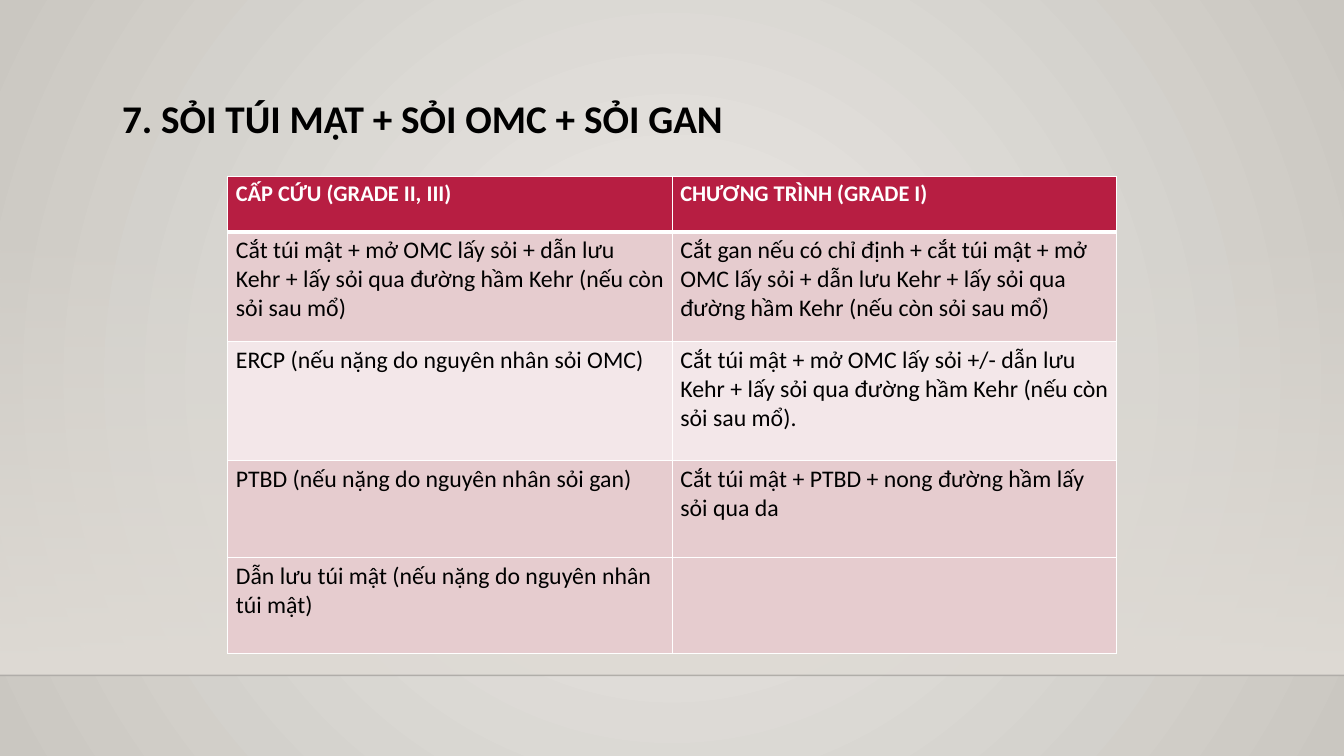
from lxml.etree import SubElement
from pptx import Presentation
from pptx.dml.color import RGBColor
from pptx.enum.shapes import MSO_CONNECTOR, MSO_SHAPE
from pptx.enum.text import MSO_ANCHOR, MSO_AUTO_SIZE, PP_ALIGN
from pptx.oxml import parse_xml
from pptx.oxml.ns import nsdecls, qn
from pptx.util import Pt

WIDTH, HEIGHT = 960, 540
FLOOR = 482.4
FONT = "Calibri"
COLORS = {
    "bg_center": "ECEAE7", "bg_edge": "CAC7C1", "wall": "DFDBD5",
    "floor_line": "000001", "text": "000000", "white": "FFFFFF",
    "header": "B71E42", "dark_row": "E6CCCF", "light_row": "F3E7E9",
}
TITLE = "7. SỎI TÚI MẬT + SỎI OMC + SỎI GAN"
ROWS = [
    ("CẤP CỨU (GRADE II, III)", "CHƯƠNG TRÌNH (GRADE I)"),
    ("Cắt túi mật + mở OMC lấy sỏi + dẫn lưu Kehr + lấy sỏi qua đường hầm "
     "Kehr (nếu còn sỏi sau mổ)",
     "Cắt gan nếu có chỉ định + cắt túi mật + mở OMC lấy sỏi + dẫn lưu Kehr "
     "+ lấy sỏi qua đường hầm Kehr (nếu còn sỏi sau mổ)"),
    ("ERCP (nếu nặng do nguyên nhân sỏi OMC)",
     "Cắt túi mật + mở OMC lấy sỏi +/- dẫn lưu Kehr + lấy sỏi qua đường hầm "
     "Kehr (nếu còn sỏi sau mổ)."),
    ("PTBD (nếu nặng do nguyên nhân sỏi gan)",
     "Cắt túi mật + PTBD + nong đường hầm lấy sỏi qua da"),
    ("Dẫn lưu túi mật (nếu nặng do nguyên nhân túi mật)", ""),
]
ROW_HEIGHTS = [39.6, 78.5, 85, 69, 69]
ROW_FILLS = ["header", "dark_row", "light_row", "dark_row", "dark_row"]


def rgb(name):
    return RGBColor.from_string(COLORS[name])


def set_gradient(fill, start, end):
    fill.gradient()
    for stop, name, position in zip(fill.gradient_stops, (start, end), (0, 1)):
        stop.color.rgb = rgb(name)
        stop.position = position


def set_alpha(element, percent):
    """Make the first colour inside the element see-through."""
    color = next(element.iter(qn("a:srgbClr")))
    SubElement(color, qn("a:alpha"), val=str(percent * 1000))


def add_background(s):
    set_gradient(s.background.fill, "bg_center", "bg_edge")
    lin = next(s.element.iter(qn("a:lin")))
    lin.getparent().replace(lin, parse_xml(
        f'<a:path {nsdecls("a")} path="circle">'
        '<a:fillToRect l="50000" t="50000" r="50000" b="50000"/></a:path>'))


def add_wall(s, top):
    sp = s.shapes.add_shape(MSO_SHAPE.RECTANGLE, 0, Pt(top), Pt(WIDTH), Pt(FLOOR - top))
    sp.shadow.inherit = False
    sp.line.fill.background()
    set_gradient(sp.fill, "wall", "wall")
    sp.fill.gradient_angle = 270
    set_alpha(sp.element.spPr, 0)


def add_floor_line(s):
    line = s.shapes.add_connector(MSO_CONNECTOR.STRAIGHT, 0, Pt(FLOOR), Pt(WIDTH), Pt(FLOOR))
    line.line.color.rgb = rgb("floor_line")
    line.line.width = Pt(1)
    spPr = line.element.spPr
    set_alpha(spPr, 20)
    SubElement(spPr, qn("a:effectLst"))


def set_title(s, text):
    sp = s.shapes.title
    sp.left, sp.top, sp.width, sp.height = Pt(80), Pt(46.8), Pt(682), Pt(52.6)
    tf = sp.text_frame
    tf.text = text
    tf.word_wrap = True
    tf.auto_size = MSO_AUTO_SIZE.NONE
    tf.vertical_anchor = MSO_ANCHOR.TOP
    p = tf.paragraphs[0]
    p.alignment = PP_ALIGN.LEFT
    p.line_spacing = 1.5
    set_font(p, 28, "text", True)


def set_font(p, size, color, bold):
    p.font.name = FONT
    p.font.size = Pt(size)
    p.font.bold = bold
    p.font.color.rgb = rgb(color)


def set_borders(cell, widths):
    tcPr = cell._tc.get_or_add_tcPr()
    for i, (side, width) in enumerate(widths.items()):
        tcPr.insert(i, parse_xml(
            f'<a:ln{side} {nsdecls("a")} w="{Pt(width)}"><a:solidFill>'
            f'<a:srgbClr val="{COLORS["white"]}"/></a:solidFill></a:ln{side}>'))


def format_cell(cell, text, row):
    header = row == 0
    cell.text = text
    cell.margin_left = cell.margin_right = Pt(5.8)
    cell.margin_top = cell.margin_bottom = Pt(2.9)
    cell.fill.solid()
    cell.fill.fore_color.rgb = rgb(ROW_FILLS[row])
    set_font(cell.text_frame.paragraphs[0], 16 if header else 17,
             "white" if header else "text", header)
    set_borders(cell, {"L": 1, "R": 1, "T": 3 if row == 1 else 1, "B": 3 if header else 1})


def add_treatment_table(s):
    table = s.shapes.add_table(len(ROWS), 2, Pt(162.7), Pt(126), Pt(635),
                               Pt(sum(ROW_HEIGHTS))).table
    for r, texts in enumerate(ROWS):
        table.rows[r].height = Pt(ROW_HEIGHTS[r])
        for c, text in enumerate(texts):
            format_cell(table.cell(r, c), text, r)


def main():
    prs = Presentation()
    prs.slide_width, prs.slide_height = Pt(WIDTH), Pt(HEIGHT)
    s = prs.slides.add_slide(prs.slide_layouts[5])

    # Backdrop
    add_background(s)
    add_wall(s, 159)
    add_floor_line(s)

    # Title, kept in front of the backdrop
    set_title(s, TITLE)
    s.shapes._spTree.append(s.shapes.title.element)

    # Treatment options
    add_treatment_table(s)
    prs.save("out.pptx")


if __name__ == "__main__":
    main()
